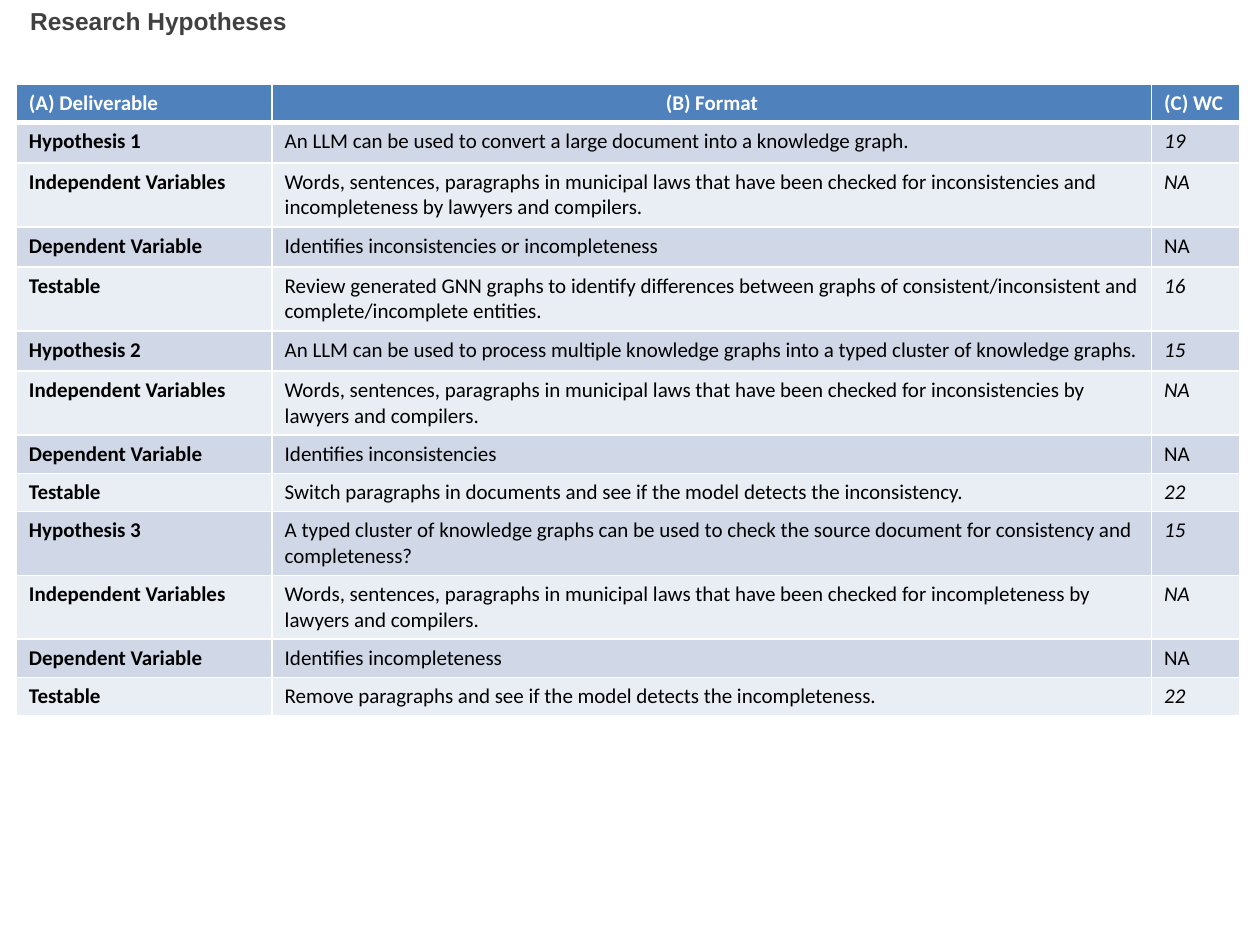
"""Build the research hypotheses slide with its table of deliverables."""
from dataclasses import dataclass

from lxml.etree import SubElement
from pptx import Presentation
from pptx.dml.color import RGBColor
from pptx.enum.text import PP_ALIGN
from pptx.oxml.ns import qn
from pptx.util import Inches, Pt


@dataclass(frozen=True)
class Theme:
    title_font: str = "Arial"
    table_font: str = "Calibri"
    title_size: int = 14
    table_size: int = 12
    title_color: str = "404040"
    text_color: str = "000000"
    white: str = "FFFFFF"
    header_fill: str = "4F81BD"
    band_fills: tuple = ("D0D8E8", "E9EDF4")
    rule_width: int = 1
    header_rule_width: int = 3


HEADERS = ("(A) Deliverable", "(B) Format", "(C) WC")
LABELS = ("Independent Variables", "Dependent Variable", "Testable")
CHECKED = "Words, sentences, paragraphs in municipal laws that have been checked for "
HYPOTHESES = (
    (
        ("An LLM can be used to convert a large document into a knowledge graph.", "19"),
        (CHECKED + "inconsistencies and incompleteness by lawyers and compilers.", "NA"),
        ("Identifies inconsistencies or incompleteness", "NA"),
        ("Review generated GNN graphs to identify differences between graphs of "
         "consistent/inconsistent and complete/incomplete entities.", "16"),
    ),
    (
        ("An LLM can be used to process multiple knowledge graphs into a typed "
         "cluster of knowledge graphs.", "15"),
        (CHECKED + "inconsistencies by lawyers and compilers.", "NA"),
        ("Identifies inconsistencies", "NA"),
        ("Switch paragraphs in documents and see if the model detects the "
         "inconsistency.", "22"),
    ),
    (
        ("A typed cluster of knowledge graphs can be used to check the source "
         "document for consistency and completeness?", "15"),
        (CHECKED + "incompleteness by lawyers and compilers.", "NA"),
        ("Identifies incompleteness", "NA"),
        ("Remove paragraphs and see if the model detects the incompleteness.", "22"),
    ),
)
COLUMN_WIDTHS = (2.03, 6.98, 0.7)
ROW_HEIGHTS = (0.3, 0.32, 0.5, 0.32, 0.5, 0.32, 0.5, 0.3, 0.3, 0.5, 0.5, 0.3, 0.3)


class SlideBuilder:
    def __init__(self, page, theme):
        self.page = page
        self.theme = theme

    def style(self, para, font, size, color, bold=False, italic=False):
        for span in para.runs:
            span.font.name = font
            span.font.size = Pt(size)
            span.font.bold = bold
            span.font.italic = italic
            span.font.color.rgb = RGBColor.from_string(color)

    def title(self, text, left, top, width, height):
        box = self.page.shapes.add_textbox(
            Inches(left), Inches(top), Inches(width), Inches(height))
        frame = box.text_frame
        frame.word_wrap = True
        frame.text = text
        theme = self.theme
        self.style(frame.paragraphs[0], theme.title_font, theme.title_size,
                   theme.title_color, bold=True)

    def borders(self, cell, top_width, bottom_width):
        properties = cell._tc.get_or_add_tcPr()
        side_width = self.theme.rule_width
        widths = {"a:lnL": side_width, "a:lnR": side_width,
                  "a:lnT": top_width, "a:lnB": bottom_width}
        for position, (side, width) in enumerate(widths.items()):
            line = SubElement(properties, qn(side), w=str(Pt(width)))
            fill = SubElement(line, qn("a:solidFill"))
            SubElement(fill, qn("a:srgbClr"), val=self.theme.white)
            properties.insert(position, line)

    def cell(self, cell, text, row, column):
        theme = self.theme
        header = row == 0
        fill = theme.header_fill if header else theme.band_fills[(row - 1) % 2]
        cell.fill.solid()
        cell.fill.fore_color.rgb = RGBColor.from_string(fill)
        self.borders(
            cell,
            theme.header_rule_width if row == 1 else theme.rule_width,
            theme.header_rule_width if header else theme.rule_width)
        cell.text_frame.text = text
        para = cell.text_frame.paragraphs[0]
        if header and column == 1:
            para.alignment = PP_ALIGN.CENTER
        dependent = row % 4 == 3
        self.style(para, theme.table_font, theme.table_size,
                   theme.white if header else theme.text_color,
                   bold=header or column == 0,
                   italic=column == 2 and not header and not dependent)

    def table(self, rows, left, top):
        frame = self.page.shapes.add_table(
            len(rows), len(COLUMN_WIDTHS), Inches(left), Inches(top),
            Inches(sum(COLUMN_WIDTHS)), Inches(sum(ROW_HEIGHTS)))
        table = frame.table
        for column, width in zip(table.columns, COLUMN_WIDTHS):
            column.width = Inches(width)
        for row, height in zip(table.rows, ROW_HEIGHTS):
            row.height = Inches(height)
        for row, texts in enumerate(rows):
            for column, text in enumerate(texts):
                self.cell(table.cell(row, column), text, row, column)


def table_rows():
    rows = [HEADERS]
    for number, entries in enumerate(HYPOTHESES, start=1):
        labels = (f"Hypothesis {number}", *LABELS)
        rows += [(label, *entry) for label, entry in zip(labels, entries)]
    return rows


def main():
    deck = Presentation()
    deck.slide_width = Inches(10)
    deck.slide_height = Inches(7.5)
    page = deck.slides.add_slide(deck.slide_layouts[6])
    builder = SlideBuilder(page, Theme())
    builder.table(table_rows(), 0.13, 0.67)
    builder.title("Research Hypotheses", 0.14, 0, 8.48, 0.68)
    deck.save("out.pptx")


if __name__ == "__main__":
    main()
